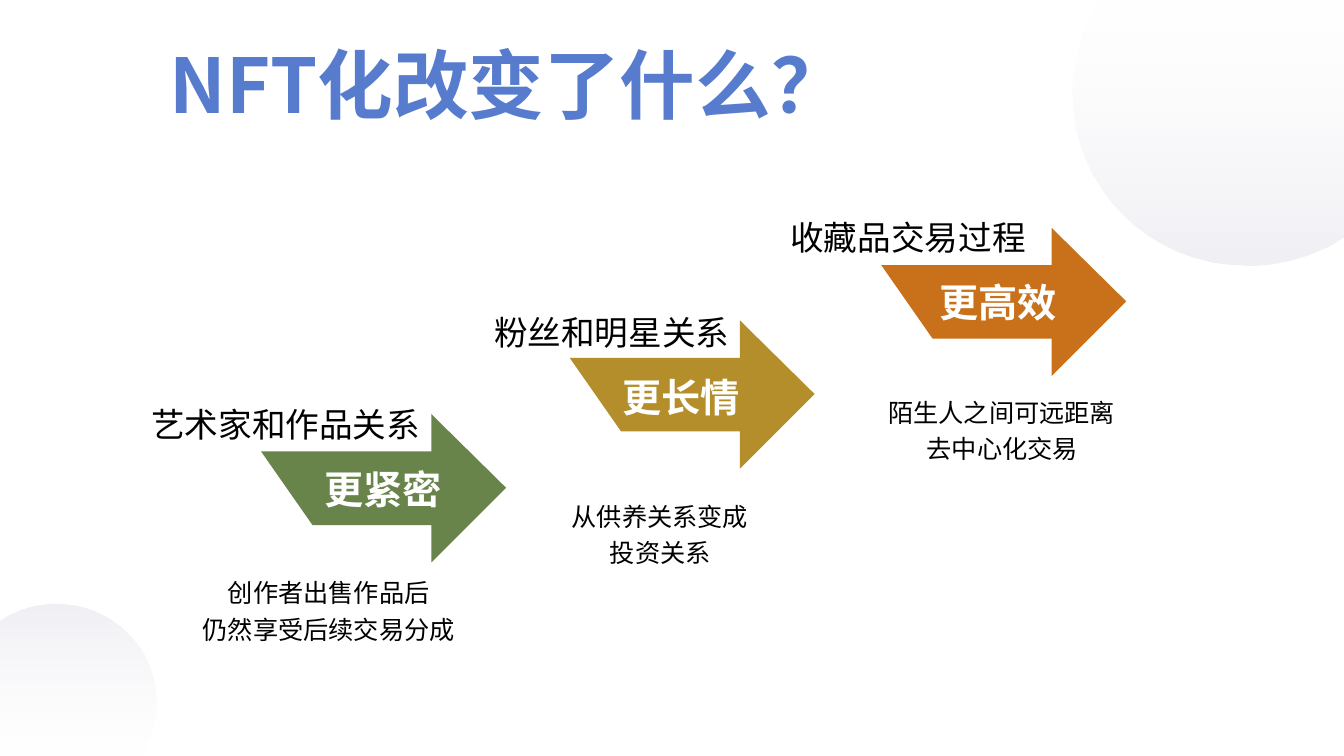
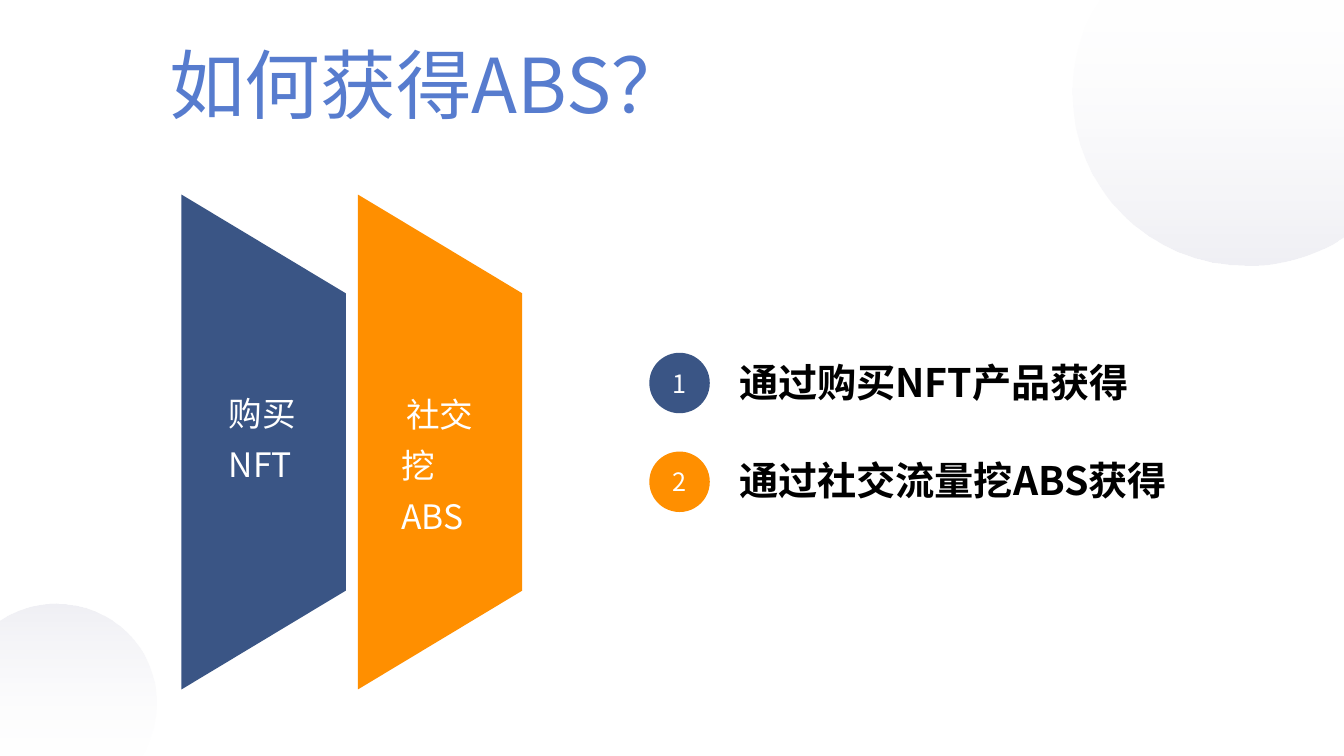
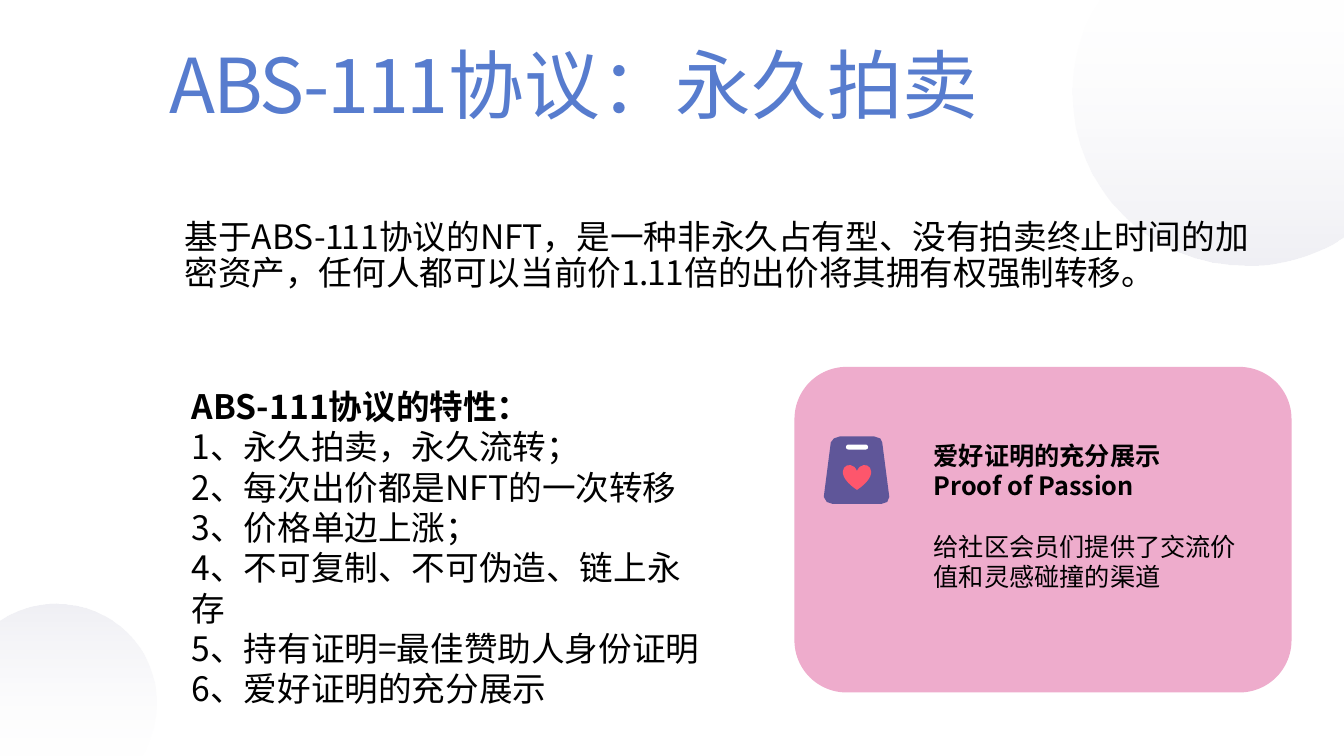
"""Build three slides on NFT relationships, earning ABS and the ABS-111 protocol."""
from dataclasses import dataclass
from typing import NamedTuple

from lxml.etree import SubElement
from pptx import Presentation
from pptx.dml.color import RGBColor
from pptx.enum.shapes import MSO_SHAPE
from pptx.enum.text import MSO_ANCHOR, PP_ALIGN
from pptx.oxml.ns import qn
from pptx.presentation import Presentation as Deck
from pptx.shapes.autoshape import Shape
from pptx.slide import Slide
from pptx.text.text import TextFrame, _Paragraph
from pptx.util import Inches, Pt

FONT = "Noto Sans CJK JP"
WIDTH, HEIGHT = 13.33, 7.5
COLORS = {
    "title": "577CCE", "text": "000000", "white": "FFFFFF", "haze": "BEBED2",
    "green": "68844B", "gold": "B38E2A", "rust": "C8701A",
    "navy": "3A5585", "orange": "FF8F00",
    "pink": "EEACCC", "purple": "5F5699", "heart": "FD566C",
}
Points = list[tuple[float, float]]


class Run(NamedTuple):
    text: str
    spacing: float = 0


Line = list[Run]


@dataclass
class Disc:
    edge: Points
    arcs: Points
    angle: int


@dataclass
class Step:
    x: float
    y: float
    color: str
    label: str
    label_x: float
    label_y: float
    label_w: float
    verb: str
    verb_x: float
    note: str
    note_x: float
    note_y: float
    note_w: float
    note_indent: tuple[float, float]


@dataclass
class Way:
    color: str
    panel_x: float
    circle_y: float
    text: str
    text_w: float
    text_h: float


DISCS = [
    Disc([(10.92, 0), (13.33, 0), (13.33, 2.34), (13.2, 2.42)],
         [(12.95, 2.55), (12.67, 2.63), (12.37, 2.63),
          (11.41, 2.63), (10.64, 1.87), (10.64, 0.92),
          (10.64, 0.63), (10.71, 0.35), (10.85, 0.11)], 270),
    Disc([(1.39, 7.5), (0, 7.5), (0, 6.16), (0.08, 6.11)],
         [(0.21, 6.04), (0.38, 5.99), (0.55, 5.99),
          (1.1, 5.99), (1.55, 6.43), (1.55, 6.97),
          (1.55, 7.14), (1.5, 7.3), (1.43, 7.44)], 90),
]
ARROW = [(1.69, 1.47), (1.69, 1.1), (0.51, 1.1), (0, 0.37),
         (1.69, 0.37), (1.69, 0), (2.43, 0.73)]
PANEL = [(0, 4.91), (0, 0), (1.63, 0.98), (1.63, 3.93)]
BAG = [(0.09, 0.67), (0.03, 0.65), (0, 0.6), (0.07, 0.06), (0.1, 0.02), (0.16, 0),
       (0.5, 0), (0.56, 0.02), (0.58, 0.06), (0.65, 0.6), (0.63, 0.65), (0.57, 0.67)]
STEPS = [
    Step(2.59, 4.11, "green", "艺术家和作品关系", 1.49, 3.99, 2.7, "更紧密", 3.21,
         "创作者出售作品后 仍然享受后续交易分成", 2, 5.65, 2.53, (0.01, 0.25)),
    Step(5.65, 3.18, "gold", "粉丝和明星关系", 4.89, 3.07, 2.37, "更长情", 6.16,
         "从供养关系变成 投资关系", 5.66, 4.89, 1.78, (0.39, -0.38)),
    Step(8.74, 2.26, "rust", "收藏品交易过程", 7.83, 2.13, 2.37, "更高效", 9.31,
         "陌生人之间可远距离 去中心化交易", 8.8, 3.86, 2.28, (0.39, -0.38)),
]
WAYS = [
    Way("navy", 1.8, 3.5, "通过购买NFT产品获得", 3.91, 0.96),
    Way("orange", 3.55, 4.48, "通过社交流量挖ABS获得", 4.33, 0.48),
]
SUMMARY = [
    Run("基于ABS-"), Run("11", -1.8), Run("1协议的N"), Run("FT", -0.1),
    Run("，是一种非永久占有型、没有拍卖终止时间的加 密资产，任何人都可以当前价"),
    Run("1.11", -0.5), Run("倍的出价将其拥有权强制转移。"),
]
FEATURES = [
    "永久拍卖，永久流转；", "每次出价都是NFT的一次转移", "价格单边上涨；",
    "不可复制、不可伪造、链上永存", "持有证明=最佳赞助人身份证明", "爱好证明的充分展示",
]


def rgb(name: str) -> RGBColor:
    return RGBColor.from_string(COLORS[name])


def style(p: _Paragraph, size: float, color: str, bold: bool = False) -> None:
    p.font.size, p.font.bold, p.font.name = Pt(size), bold, FONT
    p.font.color.rgb = rgb(color)
    SubElement(p._p.pPr.find(qn("a:defRPr")), qn("a:ea"), typeface=FONT)


def set_frame(tf: TextFrame, top: float = 0.02) -> None:
    tf.word_wrap, tf.vertical_anchor = True, MSO_ANCHOR.TOP
    tf.margin_left = tf.margin_right = tf.margin_bottom = 0
    tf.margin_top = Inches(top)


def write(p: _Paragraph, line: str | Line, indent: tuple[float, float] = (0.01, 0)) -> None:
    for text, spacing in [Run(line)] if isinstance(line, str) else line:
        r = p.add_run()
        r.text = text
        if spacing:
            r._r.get_or_add_rPr().set("spc", str(round(spacing * 100)))
    p.alignment = PP_ALIGN.LEFT
    for key, value in zip(("marL", "indent"), indent):
        p._p.pPr.set(key, str(Inches(value)))


def add_text(slide: Slide, x: float, y: float, w: float, h: float, lines: list[str | Line],
             size: float, color: str = "text", bold: bool = False, top: float = 0.02,
             indent: tuple[float, float] = (0.01, 0)) -> TextFrame:
    tf = slide.shapes.add_textbox(Inches(x), Inches(y), Inches(w), Inches(h)).text_frame
    set_frame(tf, top)
    for i, line in enumerate(lines):
        p = tf.add_paragraph() if i else tf.paragraphs[0]
        write(p, line, indent)
        style(p, size, color, bold)
    return tf


def plain(sp: Shape) -> Shape:
    sp.shadow.inherit = False
    sp.line.fill.background()
    return sp


def paint(sp: Shape, color: str) -> Shape:
    sp.fill.solid()
    sp.fill.fore_color.rgb = rgb(color)
    return plain(sp)


def add_outline(slide: Slide, x: float, y: float, points: Points) -> Shape:
    corners = [(Inches(x + dx), Inches(y + dy)) for dx, dy in points]
    builder = slide.shapes.build_freeform(*corners[0])
    builder.add_line_segments(corners[1:], close=True)
    return builder.convert_to_shape()


def add_preset(slide: Slide, kind: MSO_SHAPE, x: float, y: float, w: float, h: float,
               color: str) -> Shape:
    sp = slide.shapes.add_shape(kind, Inches(x), Inches(y), Inches(w), Inches(h))
    return paint(sp, color)


def add_disc(slide: Slide, disc: Disc) -> None:
    sp = plain(add_outline(slide, 0, 0, disc.edge + disc.arcs))
    steps = list(sp._element.iter(qn("a:lnTo")))[len(disc.edge) - 1:]
    for curve, second, end in zip(steps[::3], steps[1::3], steps[2::3]):
        curve.tag = qn("a:cubicBezTo")
        for step in (second, end):
            curve.append(step[0])
            step.getparent().remove(step)
    sp.fill.gradient()
    sp.fill.gradient_angle = disc.angle
    for stop, color in zip(sp.fill.gradient_stops, ("white", "haze")):
        stop.color.rgb = rgb(color)
    for clr, alpha in zip(sp._element.iter(qn("a:srgbClr")), (10, 24)):
        SubElement(clr, qn("a:alpha"), val=str(alpha * 1000))


def new_slide(prs: Deck, text: str | Line, width: float, bold: bool = False) -> Slide:
    slide = prs.slides.add_slide(prs.slide_layouts[5])
    for disc in DISCS:
        add_disc(slide, disc)
    title = slide.shapes.title
    title.left, title.top = Inches(1.67), Inches(0.36)
    title.width, title.height = Inches(width), Inches(0.92)
    set_frame(title.text_frame)
    p = title.text_frame.paragraphs[0]
    write(p, text)
    style(p, 54, "title", bold)
    return slide


def build_changes(prs: Deck) -> None:
    slide = new_slide(prs, "NFT化改变了什么？", 7.14, bold=True)
    for step in STEPS:
        paint(add_outline(slide, step.x, step.y, ARROW), step.color)
        add_text(slide, step.label_x, step.label_y, step.label_w, 0.42, [step.label], 24)
        add_text(slide, step.verb_x, step.label_y + 0.61, 1.2, 0.48, [step.verb], 28,
                 "white", True)
        tf = add_text(slide, step.note_x, step.note_y, step.note_w, 0.74, [step.note], 18,
                      indent=step.note_indent)
        tf.paragraphs[0].line_spacing = 1.2


def build_ways(prs: Deck) -> None:
    slide = new_slide(prs, "如何获得ABS？", 6.69)
    for number, way in enumerate(WAYS, 1):
        paint(add_outline(slide, way.panel_x, 1.93, PANEL), way.color)
        sp = add_preset(slide, MSO_SHAPE.OVAL, 6.44, way.circle_y, 0.6, 0.6, way.color)
        tf = sp.text_frame
        set_frame(tf, 0)
        tf.vertical_anchor = MSO_ANCHOR.MIDDLE
        tf.text = str(number)
        tf.paragraphs[0].alignment = PP_ALIGN.CENTER
        style(tf.paragraphs[0], 18, "white")
        add_text(slide, 7.32, way.circle_y + 0.03, way.text_w, way.text_h, [way.text], 28,
                 bold=True)
    tf = add_text(slide, 2.26, 3.78, 0.69, 1.04, ["购买", "NFT"], 24, "white", top=0.12)
    tf.paragraphs[1].space_before = Pt(7.7)
    tf = add_text(slide, 3.97, 3.78, 0.79, 1.55, ["社交 挖ABS"], 24, "white",
                  indent=(0.01, 0.05))
    tf.paragraphs[0].line_spacing = 1.27


def build_protocol(prs: Deck) -> None:
    slide = new_slide(prs, [Run("ABS-111", -1.6), Run("协议：永久拍卖")], 9.44)
    card = add_preset(slide, MSO_SHAPE.ROUNDED_RECTANGLE, 7.88, 3.64, 4.93, 3.23, "pink")
    card.adjustments[0] = 0.16
    tf = add_text(slide, 1.82, 2.12, 10.79, 0.79, [SUMMARY], 24, top=0.06)
    tf.paragraphs[0].line_spacing = Pt(25.9)
    features = [f"{n}、{feature}" for n, feature in enumerate(FEATURES, 1)]
    tf = add_text(slide, 1.89, 3.81, 5.19, 3.25, ["ABS-111协议的特性：", *features], 24)
    tf.paragraphs[0].font.bold = True
    add_text(slide, 9.25, 4.35, 2.29, 0.62, ["爱好证明的充分展示", "Proof of Passion"], 18,
             bold=True)
    add_text(slide, 9.25, 5.25, 3.03, 0.62, ["给社区会员们提供了交流价 值和灵感碰撞的渠道"], 18)
    paint(add_outline(slide, 8.17, 4.33, BAG), "purple")
    handle = add_preset(slide, MSO_SHAPE.ROUNDED_RECTANGLE, 8.39, 4.41, 0.22, 0.05, "white")
    handle.adjustments[0] = 0.5
    add_preset(slide, MSO_SHAPE.HEART, 8.36, 4.61, 0.28, 0.25, "heart")


def main() -> None:
    prs = Presentation()
    prs.slide_width, prs.slide_height = Inches(WIDTH), Inches(HEIGHT)
    build_changes(prs)
    build_ways(prs)
    build_protocol(prs)
    prs.save("out.pptx")


if __name__ == "__main__":
    main()
